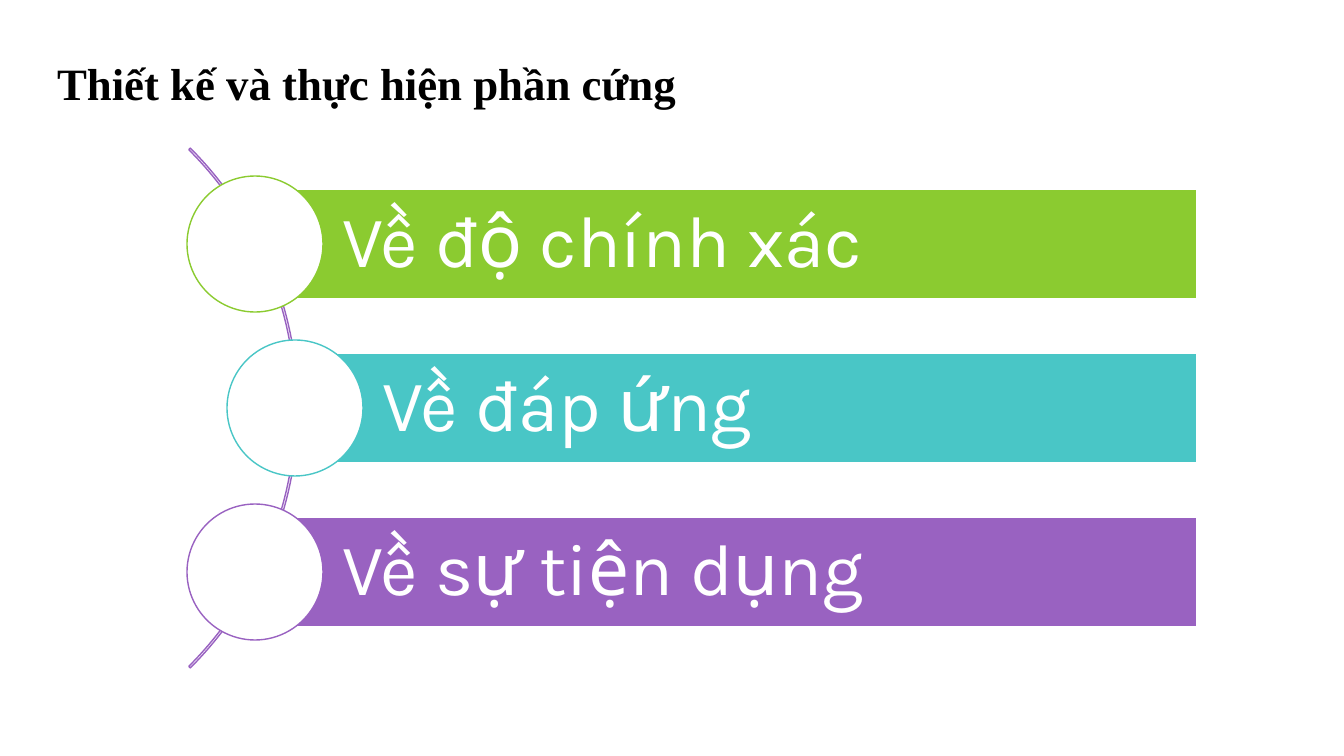
from pptx import Presentation
from pptx.dml.color import RGBColor
from pptx.enum.shapes import MSO_SHAPE
from pptx.enum.text import MSO_ANCHOR, MSO_AUTO_SIZE, PP_ALIGN
from pptx.util import Emu, Pt

BLACK = RGBColor(0x00, 0x00, 0x00)
WHITE = RGBColor(0xFF, 0xFF, 0xFF)
GREEN = RGBColor(0x8B, 0xCB, 0x30)
TEAL = RGBColor(0x49, 0xC6, 0xC6)
PURPLE = RGBColor(0x99, 0x62, 0xC1)


def px(length):
    return Emu(round(length * 914400 / 100.8))


def add_outlined(kind, left, top, width, height, fill, line):
    shape = slide.shapes.add_shape(kind, px(left), px(top), px(width), px(height))
    shape.shadow.inherit = False
    if fill is None:
        shape.fill.background()
    else:
        shape.fill.solid()
        shape.fill.fore_color.rgb = fill
    shape.line.color.rgb = line
    shape.line.width = Pt(1)
    return shape


deck = Presentation()
deck.slide_width, deck.slide_height = px(1344), px(756)
slide = deck.slides.add_slide(deck.slide_layouts[5])

# Title
title = slide.shapes.title
title.left, title.top, title.width, title.height = px(47), px(47), px(645), px(69)
title_frame = title.text_frame
title_frame.text = "Thiết kế và thực hiện phần cứng"
title_frame.word_wrap = False
title_frame.auto_size = MSO_AUTO_SIZE.SHAPE_TO_FIT_TEXT
title_frame.vertical_anchor = MSO_ANCHOR.TOP
heading = title_frame.paragraphs[0]
heading.alignment = PP_ALIGN.JUSTIFY
heading.line_spacing = 1.07
heading.space_before = Pt(12)
heading.font.name = "Times New Roman"
heading.font.size = Pt(32)
heading.font.bold = True
heading.font.color.rgb = BLACK

# Arc behind the circles, from 315 to 45 degrees
MIDDLE = 408
ARC_SIZE = 735
arc = add_outlined(MSO_SHAPE.BLOCK_ARC, -437, MIDDLE - ARC_SIZE / 2,
                   ARC_SIZE, ARC_SIZE, None, PURPLE)
for index, value in enumerate((189, 27, 0.003)):
    arc.adjustments[index] = value

# Bars, each with a circle centred on its left edge
PITCH = 164
BAR_HEIGHT = 109
BAR_RIGHT = 1197
CIRCLE = 136
criteria = [
    ("Về độ chính xác", 255, GREEN),
    ("Về đáp ứng", 295, TEAL),
    ("Về sự tiện dụng", 255, PURPLE),
]
for row, (criterion, left, color) in enumerate(criteria):
    center = MIDDLE + (row - 1) * PITCH
    bar = add_outlined(MSO_SHAPE.RECTANGLE, left, center - BAR_HEIGHT / 2,
                       BAR_RIGHT - left, BAR_HEIGHT, color, WHITE)
    frame = bar.text_frame
    frame.text = criterion
    frame.word_wrap = True
    frame.vertical_anchor = MSO_ANCHOR.MIDDLE
    frame.margin_left = px(87)
    frame.margin_top = frame.margin_right = frame.margin_bottom = px(14)
    label = frame.paragraphs[0]
    label.alignment = PP_ALIGN.LEFT
    label.line_spacing = 0.9
    label.font.name = "Karla"
    label.font.size = Pt(52)
    label.font.color.rgb = WHITE
    add_outlined(MSO_SHAPE.OVAL, left - CIRCLE / 2, center - CIRCLE / 2,
                 CIRCLE, CIRCLE, WHITE, color)

deck.save("out.pptx")
